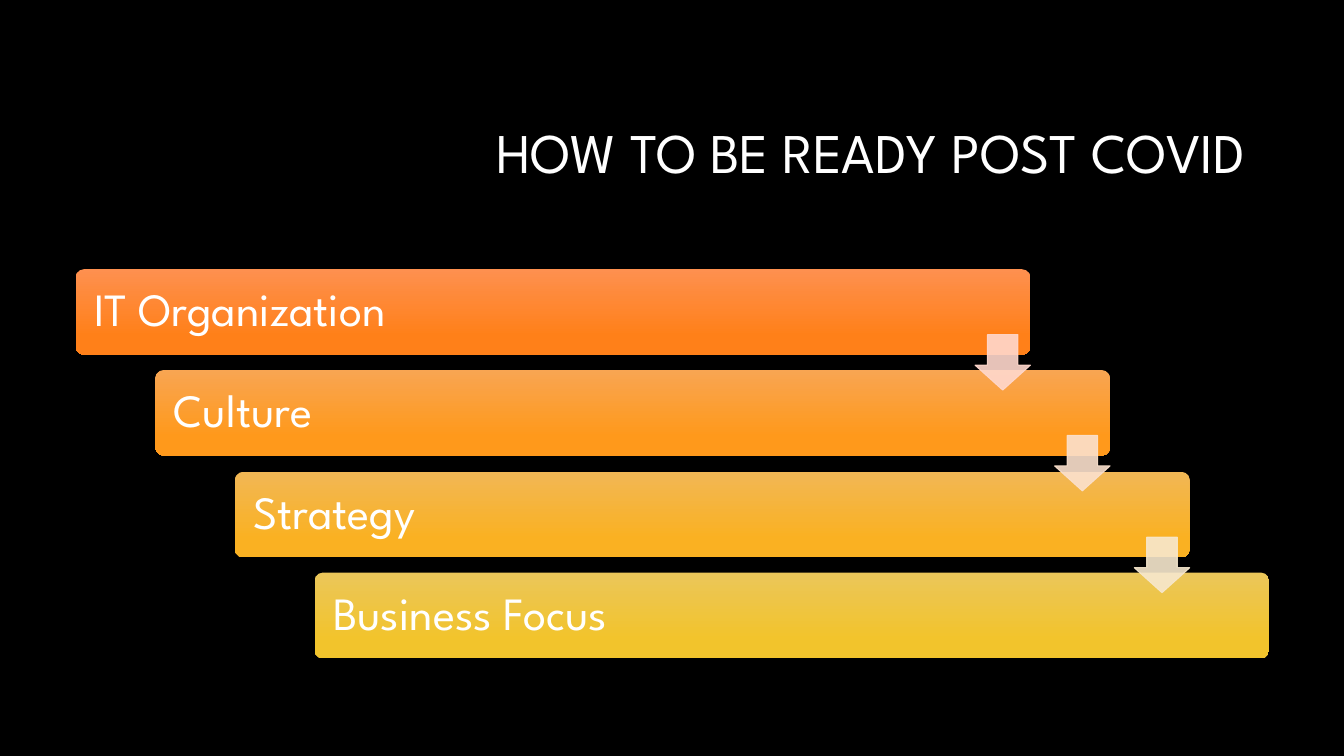
import pptx
import pptx.dml.color
import pptx.enum.shapes
import pptx.enum.text
import pptx.oxml.ns
import pptx.util
import lxml.etree
from dataclasses import dataclass

EMU_PER_PX = 9144  # 100 px to the inch
SLIDE_WIDTH, SLIDE_HEIGHT = 1333, 750

# Staircase geometry
FIRST_LEFT, FIRST_TOP = 75, 267
BAR_WIDTH, BAR_HEIGHT = 947, 85
STEP_RIGHT, TWO_STEPS_DOWN = 79, 201
ARROW_SIZE, ARROW_DROP = 55, 65

STEPS = ["IT Organization", "Culture", "Strategy", "Business Focus"]


@dataclass(frozen=True)
class Theme:
    font: str = "League Spartan"
    background: str = "000000"
    text: str = "FFFFFF"
    title_size: int = 40
    step_size: int = 33
    bars: tuple = (("FE904F", "FF8019"), ("F8A552", "FF991B"),
                   ("F1B755", "FAB122"), ("EBC659", "F2C42C"))
    arrows: tuple = ("FFD8CD", "FBE1CD", "F7E8CE")
    arrow_opacity: int = 90


THEME = Theme()


def px(length):
    return pptx.util.Emu(length * EMU_PER_PX)


def rgb(code):
    return pptx.dml.color.RGBColor.from_string(code)


def write(frame, text, size, align):
    frame.word_wrap = True
    frame.vertical_anchor = pptx.enum.text.MSO_ANCHOR.MIDDLE
    line = frame.paragraphs[0]
    line.alignment = align
    line.line_spacing = 0.9
    run = line.add_run()
    run.text = text
    run.font.name = THEME.font
    run.font.size = pptx.util.Pt(size)
    run.font.color.rgb = rgb(THEME.text)


def add_title(slide, text):
    title = slide.shapes.title
    title.left, title.top, title.width, title.height = map(px, (317, 84, 942, 141))
    title.text_frame.auto_size = pptx.enum.text.MSO_AUTO_SIZE.NONE
    write(title.text_frame, text, THEME.title_size, pptx.enum.text.PP_ALIGN.RIGHT)


def add_preset(slide, kind, left, top, width, height, adjustments):
    shape = slide.shapes.add_shape(kind, px(left), px(top), px(width), px(height))
    shape.shadow.inherit = False
    for index, value in enumerate(adjustments):
        shape.adjustments[index] = value
    return shape


def add_bar(slide, left, top, text, colors):
    bar = add_preset(slide, pptx.enum.shapes.MSO_SHAPE.ROUNDED_RECTANGLE,
                     left, top, BAR_WIDTH, BAR_HEIGHT, [0.1])
    bar.line.fill.background()
    bar.fill.gradient()
    bar.fill.gradient_angle = 270
    for stop, position, color in zip(bar.fill.gradient_stops, (0, 0.78), colors):
        stop.position = position
        stop.color.rgb = rgb(color)
    bar.text_frame.margin_left = px(16)
    write(bar.text_frame, text, THEME.step_size, pptx.enum.text.PP_ALIGN.LEFT)


def add_arrow(slide, left, top, color):
    arrow = add_preset(slide, pptx.enum.shapes.MSO_SHAPE.DOWN_ARROW,
                       left, top, ARROW_SIZE, ARROW_SIZE, [0.55, 0.45])
    arrow.fill.solid()
    arrow.fill.fore_color.rgb = rgb(color)
    arrow.line.color.rgb = rgb(color)
    arrow.line.width = pptx.util.Pt(0.75)
    # Transparency of fill and outline
    tag = pptx.oxml.ns.qn("a:srgbClr")
    for paint in arrow.element.spPr.iter(tag):
        alpha = lxml.etree.SubElement(paint, pptx.oxml.ns.qn("a:alpha"))
        alpha.set("val", str(THEME.arrow_opacity * 1000))


def main():
    deck = pptx.Presentation()
    deck.slide_width, deck.slide_height = px(SLIDE_WIDTH), px(SLIDE_HEIGHT)
    slide = deck.slides.add_slide(deck.slide_layouts.get_by_name("Title Only"))
    slide.background.fill.solid()
    slide.background.fill.fore_color.rgb = rgb(THEME.background)

    add_title(slide, "HOW TO BE READY POST COVID ")

    # Bars step down to the right
    corners = [(FIRST_LEFT + STEP_RIGHT * step, FIRST_TOP + TWO_STEPS_DOWN * step // 2)
               for step in range(len(STEPS))]
    for (left, top), text, colors in zip(corners, STEPS, THEME.bars):
        add_bar(slide, left, top, text, colors)

    # Arrows lead from each bar to the next
    for (left, top), color in zip(corners, THEME.arrows):
        add_arrow(slide, left + BAR_WIDTH - ARROW_SIZE, top + ARROW_DROP, color)

    deck.save("out.pptx")


if __name__ == "__main__":
    main()
